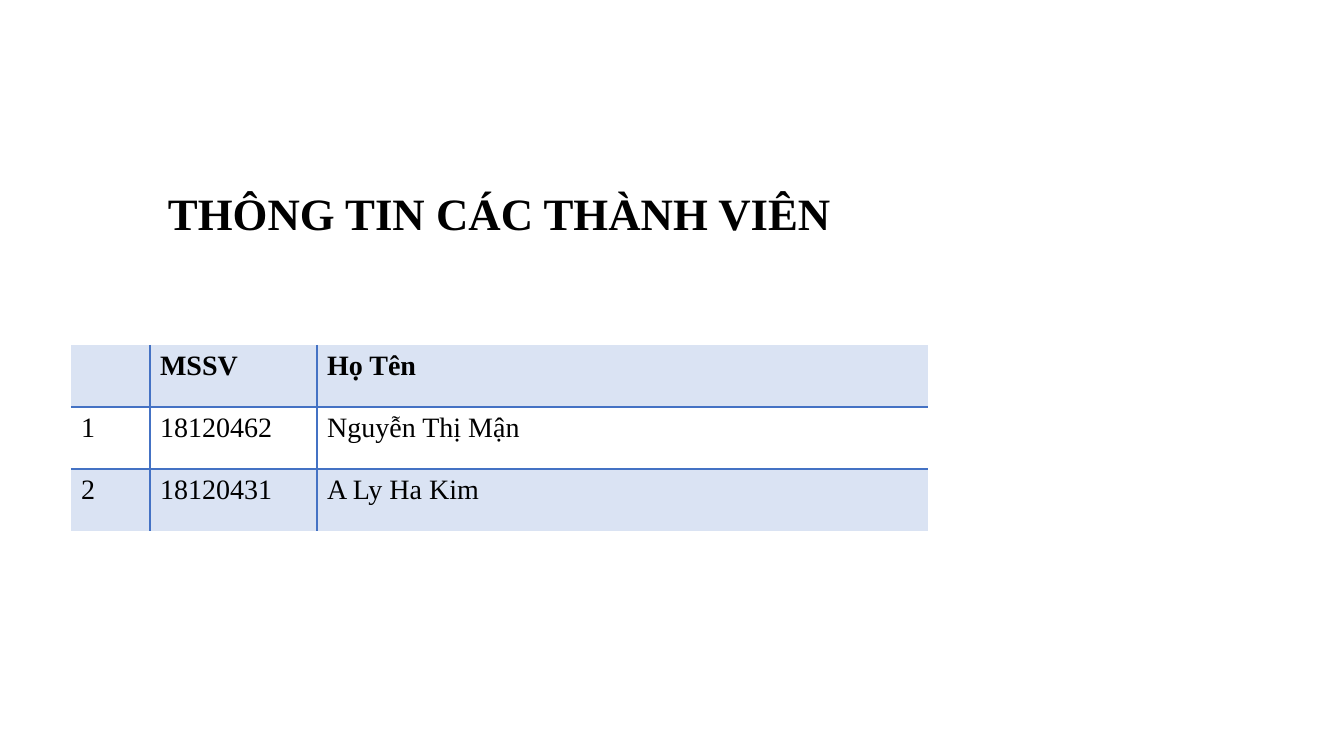
from lxml.etree import SubElement
from pptx import Presentation
from pptx.dml.color import RGBColor
from pptx.enum.text import MSO_ANCHOR, PP_ALIGN
from pptx.oxml.ns import qn
from pptx.util import Pt

PX = 914400 / 100.8
COLORS = {"text": "000000", "border": "4472C4", "band": "DAE3F3"}
NO_STYLE = "{2D5ABB26-0587-4C30-8999-92F81FD0307C}"
TITLE = "THÔNG TIN CÁC THÀNH VIÊN"
MEMBERS = [
    ["", "MSSV", "Họ Tên"],
    ["1", "18120462", "Nguyễn Thị Mận"],
    ["2", "18120431", "A Ly Ha Kim"],
]
COL_WIDTHS = [79, 167, 611]
ROW_HEIGHTS = [259, 62, 62, 62]


def px(n):
    return round(n * PX)


def write(cell, text, size, bold):
    p = cell.text_frame.paragraphs[0]
    p.text = text
    p.font.name = "Times New Roman"
    p.font.size = Pt(size)
    p.font.bold = bold
    p.font.color.rgb = RGBColor.from_string(COLORS["text"])
    return p


prs = Presentation()
prs.slide_width, prs.slide_height = px(1344), px(756)
s = prs.slides.add_slide(prs.slide_layouts[6])

frame = s.shapes.add_table(len(ROW_HEIGHTS), len(COL_WIDTHS), px(71), px(86),
                           px(sum(COL_WIDTHS)), px(sum(ROW_HEIGHTS)))
table = frame.table
table.first_row = table.horz_banding = False
next(table._tbl.iter(qn("a:tableStyleId"))).text = NO_STYLE
for col, width in zip(table.columns, COL_WIDTHS):
    col.width = px(width)
for row, height in zip(table.rows, ROW_HEIGHTS):
    row.height = px(height)

title = table.cell(0, 0)
title.merge(table.cell(0, len(COL_WIDTHS) - 1))
title.vertical_anchor = MSO_ANCHOR.MIDDLE
title.fill.background()
write(title, TITLE, 32, True).alignment = PP_ALIGN.CENTER

last_row, last_col = len(MEMBERS) - 1, len(COL_WIDTHS) - 1
for i, member in enumerate(MEMBERS):
    for j, text in enumerate(member):
        cell = table.cell(i + 1, j)
        write(cell, text, 20, i == 0)

        # Only the inner grid lines are drawn
        inner = {"a:lnL": j > 0, "a:lnR": j < last_col,
                 "a:lnT": i > 0, "a:lnB": i < last_row}
        tcPr = cell._tc.get_or_add_tcPr()
        for tag, shown in inner.items():
            if shown:
                ln = SubElement(tcPr, qn(tag), w=str(Pt(1)))
                fill = SubElement(ln, qn("a:solidFill"))
                SubElement(fill, qn("a:srgbClr"), val=COLORS["border"])

        if i % 2 == 0:
            cell.fill.solid()
            cell.fill.fore_color.rgb = RGBColor.from_string(COLORS["band"])
        else:
            cell.fill.background()

prs.save("out.pptx")
